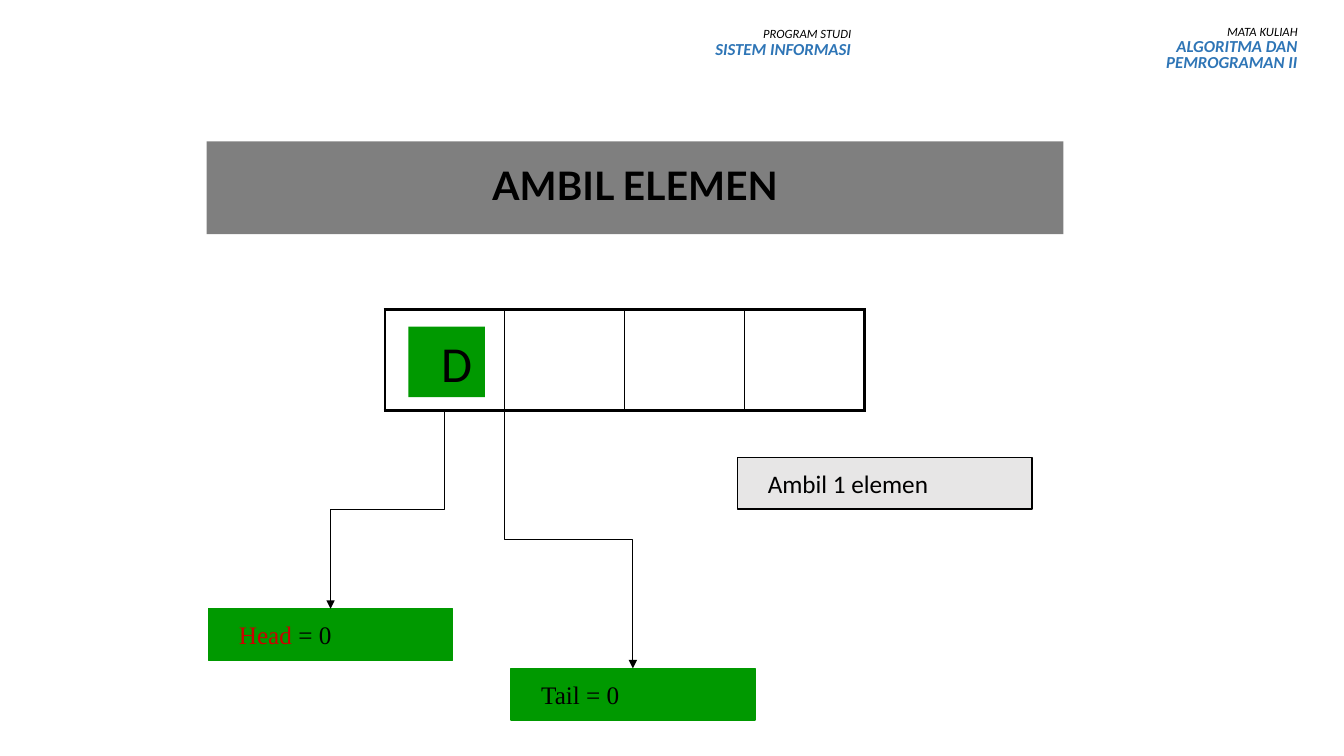
from lxml import etree
from pptx import Presentation
from pptx.dml.color import RGBColor
from pptx.enum import shapes, text
from pptx.oxml import ns
from pptx.util import Cm, Pt

BLACK = RGBColor(0x00, 0x00, 0x00)
BLUE = RGBColor(0x2E, 0x75, 0xB6)
GREEN = RGBColor(0x00, 0x99, 0x00)
RED = RGBColor(0xCC, 0x00, 0x00)
PALE_GREY = RGBColor(0xE7, 0xE6, 0xE6)


def add_label(box, fill, line, runs, font_name, size):
    """Add a filled rectangle holding one line of (text, colour) runs."""
    label = slide.shapes.add_shape(shapes.MSO_SHAPE.RECTANGLE, *map(Cm, box))
    label.shadow.inherit = False
    label.fill.solid()
    label.fill.fore_color.rgb = fill
    if line is None:
        label.line.fill.background()
    else:
        label.line.color.rgb = line
        label.line.width = Pt(1)
    frame = label.text_frame
    frame.word_wrap = True
    frame.auto_size = text.MSO_AUTO_SIZE.SHAPE_TO_FIT_TEXT
    frame.vertical_anchor = text.MSO_ANCHOR.MIDDLE
    frame.margin_left, frame.margin_right = Cm(0.76), Cm(0.25)
    frame.margin_top = frame.margin_bottom = Cm(0.13)
    paragraph = frame.paragraphs[0]
    paragraph.alignment = text.PP_ALIGN.LEFT
    paragraph.font.name = font_name
    paragraph.font.size = Pt(size)
    for words, colour in runs:
        run = paragraph.add_run()
        run.text = words
        run.font.color.rgb = colour
    return label


def add_down_arrow(start_x, start_y, end_x, end_y):
    """Add an elbow arrow that leaves and arrives vertically, by a quarter turn."""
    centre_x, centre_y = (start_x + end_x) / 2, (start_y + end_y) / 2
    half_drop, half_shift = (end_y - start_y) / 2, abs(end_x - start_x) / 2
    side = 1 if end_x > start_x else -1
    arrow = slide.shapes.add_connector(
        shapes.MSO_CONNECTOR.ELBOW,
        Cm(centre_x + side * half_drop), Cm(centre_y - half_shift),
        Cm(centre_x - side * half_drop), Cm(centre_y + half_shift))
    arrow.line.color.rgb = BLACK
    arrow.line.width = Pt(0.75)
    properties = arrow._element.spPr
    quarter_turns = 3 if side == 1 else 1
    properties.find(ns.qn("a:xfrm")).set("rot", str(quarter_turns * 90 * 60000))
    etree.SubElement(properties.find(ns.qn("a:ln")), ns.qn("a:tailEnd"), type="triangle")
    etree.SubElement(properties, ns.qn("a:effectLst"))


prs = Presentation()
prs.slide_width, prs.slide_height = Cm(33.87), Cm(19.05)
slide = prs.slides.add_slide(prs.slide_layouts[5])

# Course and study programme
for left, spacing, caption, name in (
    (26.57, 0.8, "MATA KULIAH", "ALGORITMA DAN PEMROGRAMAN II"),
    (15.32, 0.9, "PROGRAM STUDI", "SISTEM INFORMASI"),
):
    header = slide.shapes.add_textbox(Cm(left), Cm(0.56), Cm(6.38), Cm(1.42)).text_frame
    header.word_wrap = True
    header.text = f"{caption}\n{name}"
    for paragraph, size, colour, bold in zip(
            header.paragraphs, (9, 12), (BLACK, BLUE), (False, True)):
        paragraph.alignment = text.PP_ALIGN.RIGHT
        paragraph.line_spacing = spacing
        paragraph.font.name = "Calibri"
        paragraph.font.size = Pt(size)
        paragraph.font.italic = True
        paragraph.font.bold = bold
        paragraph.font.color.rgb = colour

# Title on a half-transparent band
title = slide.shapes.title
title.left, title.top, title.width, title.height = Cm(5.21), Cm(3.56), Cm(21.59), Cm(2.34)
title.fill.solid()
title.fill.fore_color.rgb = BLACK
band_colour = title._element.spPr.find(".//" + ns.qn("a:srgbClr"))
etree.SubElement(band_colour, ns.qn("a:alpha"), val="50000")
title.text_frame.text = "AMBIL ELEMEN"
title.text_frame.vertical_anchor = text.MSO_ANCHOR.MIDDLE
heading = title.text_frame.paragraphs[0]
heading.alignment = text.PP_ALIGN.CENTER
heading.line_spacing = 0.9
heading.font.name = "Lato"
heading.font.size = Pt(28)
heading.font.bold = True
heading.font.color.rgb = BLACK

# Queue of four slots
SLOTS = 4
queue = slide.shapes.add_table(1, SLOTS, Cm(9.7), Cm(7.8), Cm(12.08), Cm(2.54)).table
queue.first_row = queue.horz_banding = False
for slot in range(SLOTS):
    cell = queue.cell(0, slot)
    cell.fill.background()
    cell_properties = cell._tc.get_or_add_tcPr()
    borders = (("a:lnL", 2.25 if slot == 0 else 1),
               ("a:lnR", 2.25 if slot == SLOTS - 1 else 1),
               ("a:lnT", 2.25), ("a:lnB", 2.25))
    for position, (edge, width) in enumerate(borders):
        border = etree.Element(ns.qn(edge), w=str(Pt(width)))
        border_fill = etree.SubElement(border, ns.qn("a:solidFill"))
        etree.SubElement(border_fill, ns.qn("a:srgbClr"), val=str(BLACK))
        cell_properties.insert(position, border)

# Remaining element, remark and the two pointers
element = add_label((10.29, 8.23, 1.93, 1.78), GREEN, None, [("D", BLACK)], "Calibri", 36)
element.text_frame.word_wrap = False
element.text_frame.paragraphs[0].alignment = text.PP_ALIGN.CENTER
add_label((18.59, 11.53, 7.42, 1.3), PALE_GREY, BLACK,
          [("Ambil 1 elemen", BLACK)], "Calibri", 18)
add_label((5.26, 15.34, 6.15, 1.3), GREEN, GREEN,
          [("Head ", RED), ("= 0", BLACK)], "Times New Roman", 18)
add_label((12.88, 16.84, 6.15, 1.3), GREEN, GREEN,
          [("Tail = 0", BLACK)], "Times New Roman", 18)

add_down_arrow(11.2, 10.34, 8.33, 15.34)
add_down_arrow(12.71, 10.34, 15.95, 16.84)

prs.save("out.pptx")
